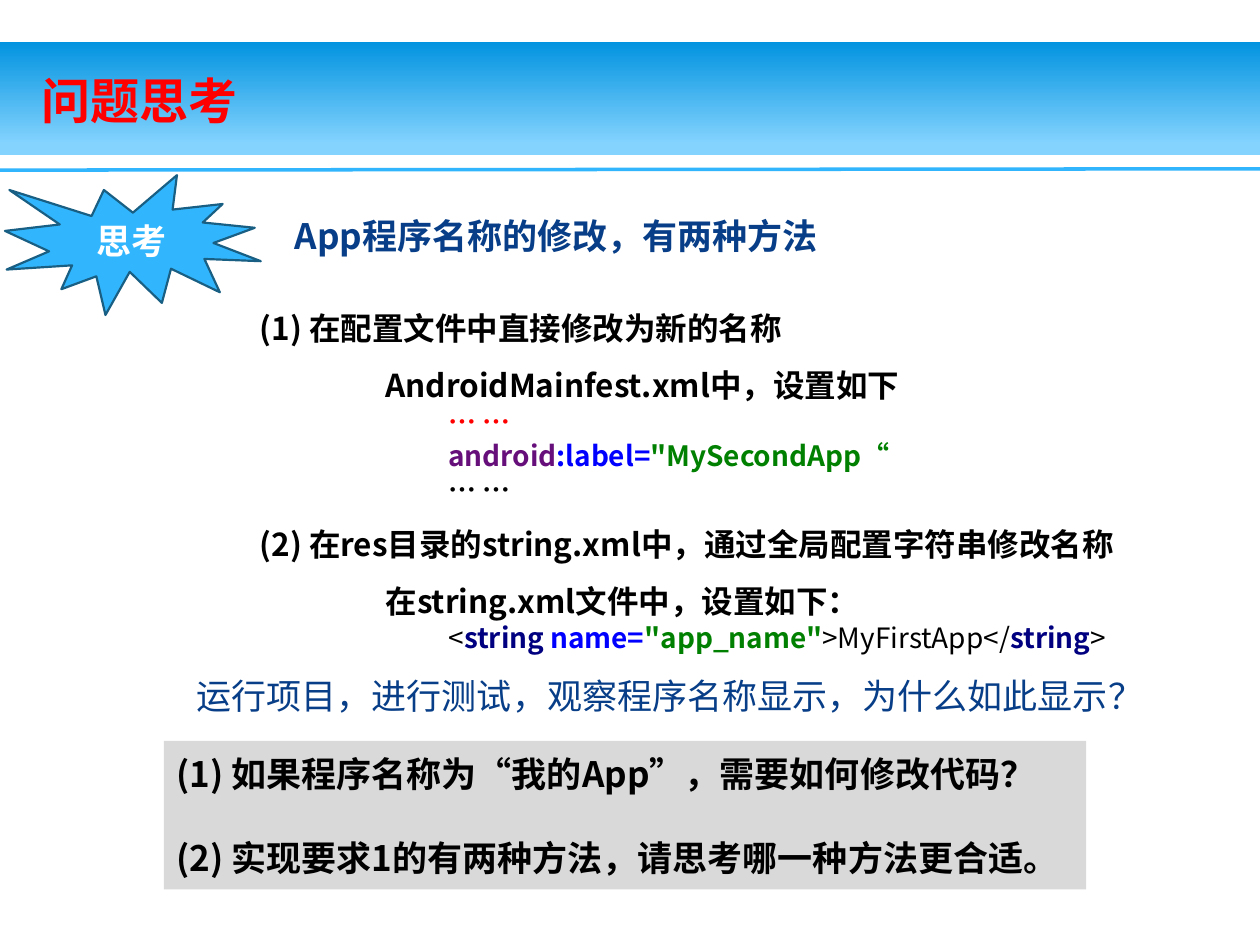
import pptx
import pptx.util
import pptx.dml.color
import pptx.enum.shapes
import pptx.enum.text
import pptx.oxml
import pptx.oxml.ns
from lxml import etree

Inches, Pt = pptx.util.Inches, pptx.util.Pt
RGBColor = pptx.dml.color.RGBColor
Shape = pptx.enum.shapes.MSO_SHAPE
Anchor = pptx.enum.text.MSO_ANCHOR
Align = pptx.enum.text.PP_ALIGN
qn = pptx.oxml.ns.qn

FONT = "Noto Sans CJK SC"
BLACK = RGBColor(0x00, 0x00, 0x00)
WHITE = RGBColor(0xFF, 0xFF, 0xFF)
RED = RGBColor(0xFF, 0x00, 0x00)
NAVY = RGBColor(0x07, 0x3E, 0x87)
SKY = RGBColor(0x31, 0xB6, 0xFD)
DEEP = RGBColor(0x02, 0x93, 0xE0)
PALE = RGBColor(0x83, 0xD3, 0xFE)
EDGE = RGBColor(0x19, 0x5F, 0x84)
GREY = RGBColor(0xD9, 0xD9, 0xD9)
PURPLE = RGBColor(0x66, 0x0E, 0x7A)
BLUE = RGBColor(0x00, 0x00, 0xFF)
GREEN = RGBColor(0x00, 0x80, 0x00)
TAG = RGBColor(0x00, 0x00, 0x80)


def add_run(para, text, size, color, bold=True):
    run = para.add_run()
    run.text = text
    font = run.font
    font.name, font.size, font.bold = FONT, Pt(size), bold
    font.color.rgb = color
    east = etree.SubElement(font._element, qn("a:ea"))
    east.set("typeface", FONT)


def place(shape, left, top, width, height):
    shape.left, shape.top = Inches(left), Inches(top)
    shape.width, shape.height = Inches(width), Inches(height)


deck = pptx.Presentation()
deck.slide_width, deck.slide_height = Inches(10), Inches(7.5)
slide = deck.slides.add_slide(deck.slide_layouts[1])
shapes = slide.shapes

# Header band and rule, behind the title
band = shapes.add_shape(Shape.ROUNDED_RECTANGLE, 0, Inches(0.33), Inches(10), Inches(0.9))
band.adjustments[0] = 0
band.shadow.inherit = False
band.line.fill.background()
band.fill.gradient()
band.fill.gradient_angle = 270
for stop, (pos, color) in zip(band.fill.gradient_stops, [(0, DEEP), (0.9, PALE)]):
    stop.position = pos
    stop.color.rgb = color
shapes.element.insert(2, band.element)

rule = shapes.add_connector(
    pptx.enum.shapes.MSO_CONNECTOR.STRAIGHT, 0, Inches(1.35), Inches(10), Inches(1.34))
rule.line.color.rgb = SKY
rule.line.width = Pt(2)
etree.SubElement(rule.element.spPr, qn("a:effectLst"))

title = shapes.title
place(title, 0.23, 0.36, 8.8, 0.87)
title.text_frame.vertical_anchor = Anchor.MIDDLE
para = title.text_frame.paragraphs[0]
para.alignment = Align.LEFT
add_run(para, "问题思考", 28, RED)

# Two methods: level, indent, line height, size, runs of (text, colour, bold)
HEAD = (1, 0.5, 32.5, 18)
NOTE = (1, 1.5, 32.5, 18)
CODE = (2, 2, 19.5, 16)
LAST = (2, 0, 36, 20)
lines = [
    (HEAD, [("(1) 在配置文件中直接修改为新的名称", BLACK, True)]),
    (NOTE, [("AndroidMainfest.xml中，设置如下", BLACK, True)]),
    (CODE, [("… …", RED, True)]),
    (CODE, [("android", PURPLE, True), (":label=", BLUE, True),
            ("\"MySecondApp“", GREEN, True)]),
    (CODE, [("… …", BLACK, True)]),
    (HEAD, [("(2) 在res目录的string.xml中，通过全局配置字符串修改名称", BLACK, True)]),
    (NOTE, [("在string.xml文件中，设置如下：", BLACK, True)]),
    (CODE, [("<", BLACK, False), ("string ", TAG, True), ("name=", BLUE, True),
            ("\"app_name\"", GREEN, True), (">MyFirstApp</", BLACK, False),
            ("string", TAG, True), (">", BLACK, False)]),
    (LAST, [("运行项目，进行测试，观察程序名称显示，为什么如此显示？", NAVY, False)]),
]
body = slide.placeholders[1]
place(body, 1.46, 2.25, 7.86, 3.46)
frame = body.text_frame
frame.auto_size = pptx.enum.text.MSO_AUTO_SIZE.NONE
for i, ((level, indent, height, size), runs) in enumerate(lines):
    para = frame.add_paragraph() if i else frame.paragraphs[0]
    para.level = level
    props = para._p.get_or_add_pPr()
    props.set("marL", str(Inches(indent)))
    props.set("indent", "0")
    etree.SubElement(props, qn("a:buNone"))
    para.space_before = Pt(0)
    para.line_spacing = Pt(height)
    for text, color, bold in runs:
        add_run(para, text, size, color, bold)

# Questions
panel = shapes.add_shape(
    Shape.RECTANGLE, Inches(1.3), Inches(5.88), Inches(7.32), Inches(1.18))
panel.shadow.inherit = False
panel.fill.solid()
panel.fill.fore_color.rgb = GREY
panel.line.fill.background()
frame = panel.text_frame
frame.word_wrap = False
frame.vertical_anchor = Anchor.MIDDLE
asks = ["(1) 如果程序名称为“我的App”，需要如何修改代码？",
        "(2) 实现要求1的有两种方法，请思考哪一种方法更合适。"]
for i, ask in enumerate(asks):
    para = frame.add_paragraph() if i else frame.paragraphs[0]
    para.alignment = Align.LEFT
    para.line_spacing = Pt(24)
    para.space_before = Pt(24 * i)
    add_run(para, ask, 20, BLACK)

# Lead line and burst
lead = shapes.add_textbox(Inches(2.24), Inches(1.65), Inches(4.72), Inches(0.55))
lead.text_frame.word_wrap = True
add_run(lead.text_frame.paragraphs[0], "App程序名称的修改，有两种方法", 20, NAVY)

burst = shapes.add_shape(
    Shape.EXPLOSION1, Inches(0.04), Inches(1.39), Inches(2.03), Inches(1.11))
burst.shadow.inherit = False
burst.fill.solid()
burst.fill.fore_color.rgb = SKY
burst.line.color.rgb = EDGE
burst.line.width = Pt(1.25)
burst.text_frame.vertical_anchor = Anchor.MIDDLE
para = burst.text_frame.paragraphs[0]
para.alignment = Align.CENTER
add_run(para, "思考", 20, WHITE)

deck.save("out.pptx")
